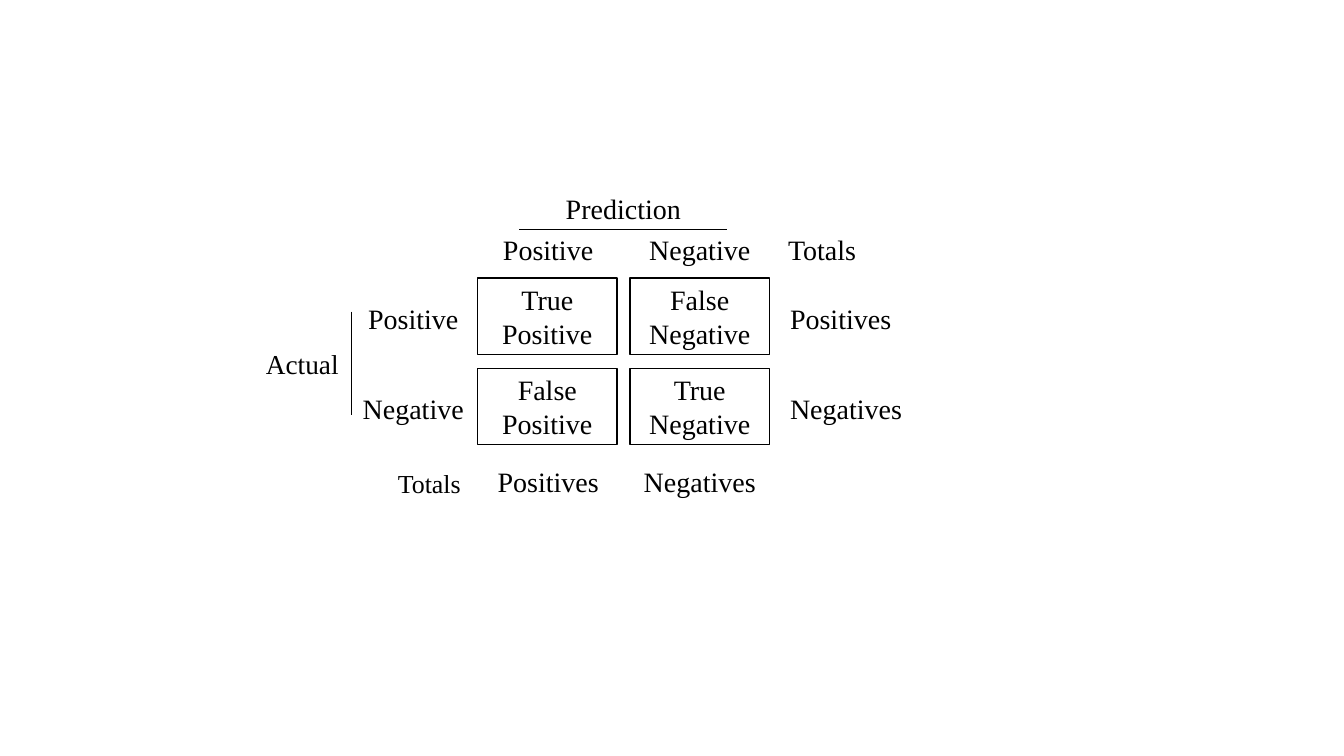
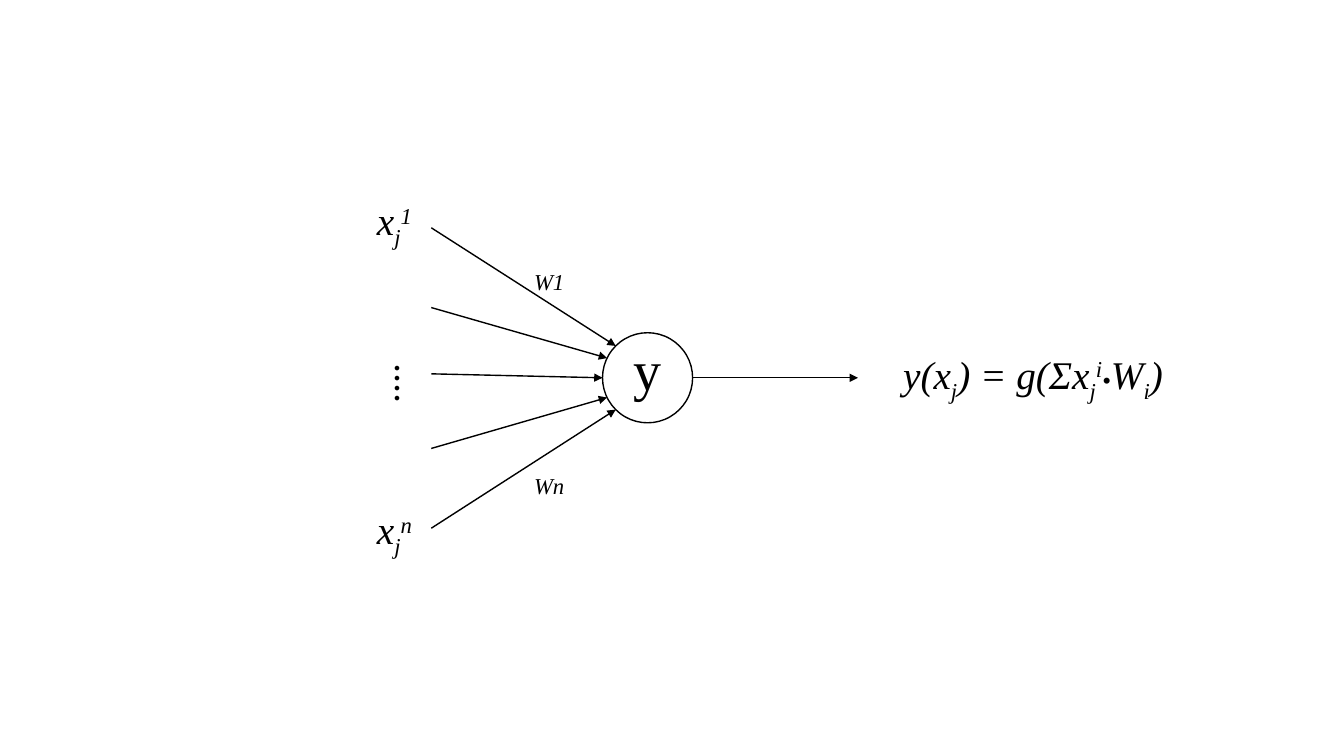
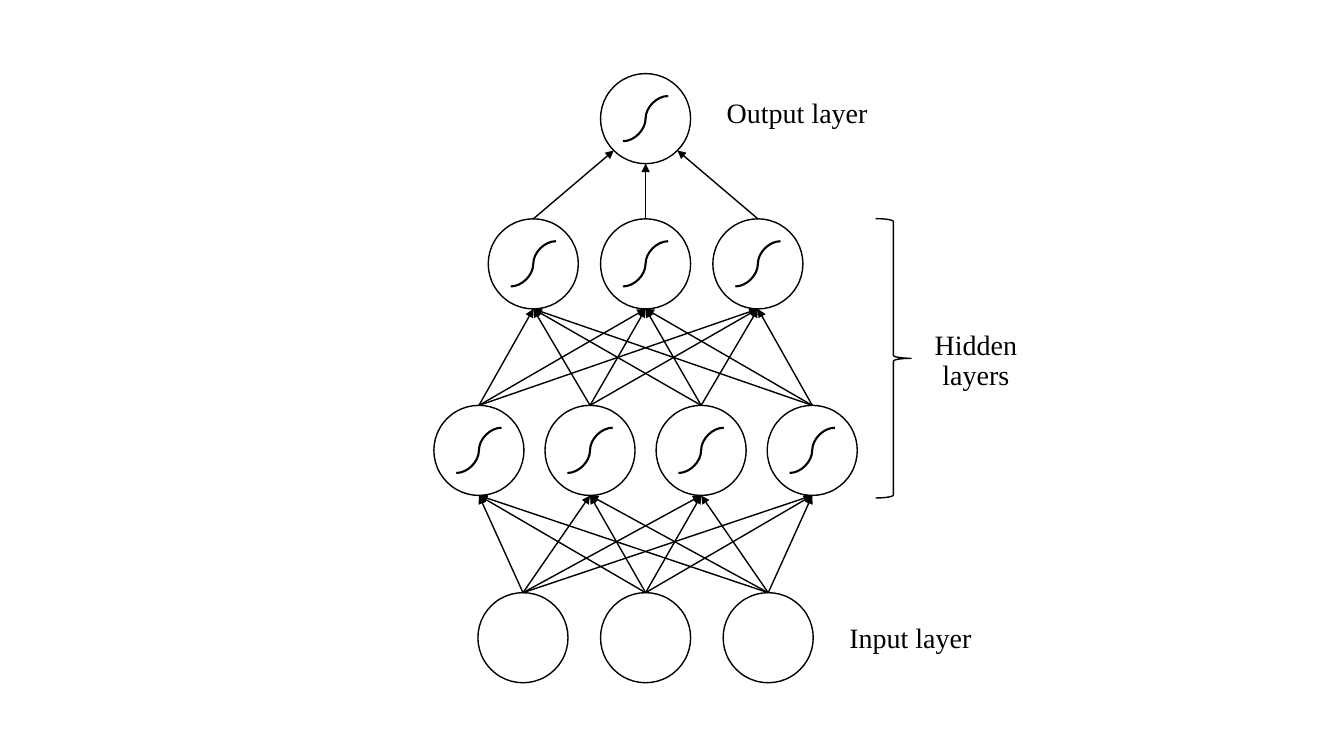
"""Build three machine-learning diagrams: confusion matrix, neuron and layered network."""
from dataclasses import dataclass
from itertools import product
from math import cos, radians, sin

from lxml import etree
from pptx import Presentation
from pptx.dml.color import RGBColor
from pptx.enum.shapes import MSO_CONNECTOR, MSO_SHAPE
from pptx.enum.text import MSO_ANCHOR, PP_ALIGN
from pptx.oxml.ns import qn
from pptx.shapes.autoshape import Shape
from pptx.shapes.connector import Connector
from pptx.slide import Slide
from pptx.text.text import TextFrame
from pptx.util import Cm, Pt

STRAIGHT, CURVE = MSO_CONNECTOR.STRAIGHT, MSO_CONNECTOR.CURVE
RECTANGLE, CIRCLE = MSO_SHAPE.RECTANGLE, MSO_SHAPE.FLOWCHART_CONNECTOR
BRACE = MSO_SHAPE.RIGHT_BRACE
LEFT, CENTER = PP_ALIGN.LEFT, PP_ALIGN.CENTER
TOP, MIDDLE, BOTTOM = MSO_ANCHOR.TOP, MSO_ANCHOR.MIDDLE, MSO_ANCHOR.BOTTOM

COLORS = {"ink": "000000", "paper": "FFFFFF"}
FONT = "Times New Roman"
SUBSCRIPT, SUPERSCRIPT = -25000, 30000
DIAMETER = 2.27
RADIUS = DIAMETER / 2
SIGMOID = 1.14


@dataclass(frozen=True)
class Label:
    text: str
    left: float
    top: float
    width: float
    height: float = 1.19
    size: float = 20
    align: PP_ALIGN = CENTER


@dataclass(frozen=True)
class Piece:
    text: str
    baseline: int = 0
    size: float = 28


@dataclass(frozen=True)
class Formula:
    pieces: tuple[Piece, ...]
    left: float
    top: float
    width: float = 1.85
    height: float = 1.8
    rotation: float = 0


@dataclass(frozen=True)
class Node:
    x: float
    y: float

    def rim(self, degrees: float) -> tuple[float, float]:
        angle = radians(degrees)
        return self.x + RADIUS * cos(angle), self.y + RADIUS * sin(angle)


@dataclass(frozen=True)
class Layer:
    count: int
    pitch: float
    y: float
    active: bool = True

    def nodes(self, center: float) -> list[Node]:
        first = center - self.pitch * (self.count - 1) / 2
        return [Node(first + self.pitch * index, self.y) for index in range(self.count)]


def ink() -> RGBColor:
    return RGBColor.from_string(COLORS["ink"])


def add_slide(presentation: Presentation) -> Slide:
    slide = presentation.slides.add_slide(presentation.slide_layouts[6])
    slide.background.fill.solid()
    slide.background.fill.fore_color.rgb = RGBColor.from_string(COLORS["paper"])
    return slide


def style_text(frame: TextFrame, size: float, align: PP_ALIGN, spacing: float) -> None:
    frame.word_wrap = True
    for paragraph in frame.paragraphs:
        paragraph.alignment = align
        paragraph.line_spacing = spacing
        for run in paragraph.runs:
            run.font.name = FONT
            run.font.size = Pt(size)
            run.font.color.rgb = ink()


def add_label(slide: Slide, label: Label) -> None:
    box = slide.shapes.add_textbox(
        Cm(label.left), Cm(label.top), Cm(label.width), Cm(label.height))
    box.text_frame.text = label.text
    box.text_frame.vertical_anchor = BOTTOM
    style_text(box.text_frame, label.size, label.align, 0.9)


def add_formula(slide: Slide, formula: Formula, align: PP_ALIGN = LEFT,
                anchor: MSO_ANCHOR = TOP, spacing: float = 1.0) -> None:
    box = slide.shapes.add_textbox(
        Cm(formula.left), Cm(formula.top), Cm(formula.width), Cm(formula.height))
    box.rotation = formula.rotation
    frame = box.text_frame
    frame.vertical_anchor = anchor
    paragraph = frame.paragraphs[0]
    for piece in formula.pieces:
        paragraph.add_run().text = piece.text
    style_text(frame, 28, align, spacing)
    for run, piece in zip(paragraph.runs, formula.pieces):
        run.font.size = Pt(piece.size)
        run.font.italic = True
        if piece.baseline:
            run._r.get_or_add_rPr().set("baseline", str(piece.baseline))


def add_outline(slide: Slide, kind: MSO_SHAPE, left: float, top: float,
                width: float, height: float) -> Shape:
    shape = slide.shapes.add_shape(kind, Cm(left), Cm(top), Cm(width), Cm(height))
    shape.shadow.inherit = False
    shape.fill.background()
    shape.line.color.rgb = ink()
    shape.line.width = Pt(1)
    return shape


def add_node(slide: Slide, node: Node) -> None:
    add_outline(slide, CIRCLE, node.x - RADIUS, node.y - RADIUS, DIAMETER, DIAMETER)


def add_line(slide: Slide, start: tuple[float, float], end: tuple[float, float],
             width: float = 1, kind: MSO_CONNECTOR = STRAIGHT) -> Connector:
    connector = slide.shapes.add_connector(
        kind, Cm(start[0]), Cm(start[1]), Cm(end[0]), Cm(end[1]))
    connector.line.color.rgb = ink()
    connector.line.width = Pt(width)
    etree.SubElement(connector._element.spPr, qn("a:effectLst"))
    return connector


def add_arrow(slide: Slide, start: tuple[float, float], end: tuple[float, float]) -> None:
    connector = add_line(slide, start, end)
    outline = connector._element.spPr.find(qn("a:ln"))
    etree.SubElement(outline, qn("a:tailEnd"), type="triangle")


def add_sigmoid(slide: Slide, node: Node) -> None:
    half = SIGMOID / 2
    add_line(slide, (node.x - half, node.y + half), (node.x + half, node.y - half), 1.5, CURVE)


def build_confusion_matrix(slide: Slide) -> None:
    classes = ("Positive", "Negative")
    column_pitch, row_pitch = 3.82, 2.27
    add_label(slide, Label("Prediction", 13.82, 4.62, 3.78))
    add_label(slide, Label("Actual", 5.69, 8.51, 3.86, size=19.5))
    add_label(slide, Label("Totals", 19.61, 5.66, 4.17, align=LEFT))
    add_label(slide, Label("Totals", 9.65, 11.51, 2.34, size=18.5))
    for index, name in enumerate(classes):
        column_left = 11.73 + column_pitch * index
        row_top = 7.38 + row_pitch * index
        add_label(slide, Label(name, column_left, 5.66, 4.17))
        add_label(slide, Label(f"{name}s", column_left, 11.51, 4.17))
        add_label(slide, Label(name, 8.13, row_top, 4.57))
        add_label(slide, Label(f"{name}s", 19.66, row_top, 4.17, align=LEFT))
    for row, column in product(range(2), repeat=2):
        cell = add_outline(slide, RECTANGLE, 12.04 + 3.84 * column,
                           7.01 + row_pitch * row, 3.51, 1.93)
        cell.text_frame.text = f"{row == column} {classes[column]}"
        cell.text_frame.vertical_anchor = MIDDLE
        style_text(cell.text_frame, 20, CENTER, 1.0)
    add_line(slide, (13.08, 5.77), (18.31, 5.77), 0.5)
    add_line(slide, (8.86, 7.85), (8.86, 10.46), 0.5)


def build_neuron(slide: Slide) -> None:
    neuron = Node(16.32, 9.52)
    add_node(slide, neuron)
    add_label(slide, Label("y", 15.72, 8.81, 1.19, 1.45, size=40, align=LEFT))
    inputs = ((5.74, 225), (7.75, 206), (9.42, 180), (11.3, 154), (13.31, 135))
    for y, degrees in inputs:
        add_arrow(slide, (10.87, y), neuron.rim(degrees))
    add_arrow(slide, neuron.rim(0), (21.62, neuron.y))
    for index, input_top, weight_top in (("1", 4.83, 5.97), ("n", 12.62, 11.1)):
        add_formula(slide, Formula(
            (Piece("x"), Piece("j", SUBSCRIPT), Piece(index, SUPERSCRIPT)), 9.25, input_top))
        add_formula(slide, Formula((Piece(f"W{index}", SUBSCRIPT),), 13.21, weight_top))
    add_formula(slide, Formula((Piece("...."),), 8.89, 8.53, 1.9, rotation=270))
    output = (Piece("y(x"), Piece("j", SUBSCRIPT), Piece(") = g(Σx"), Piece("j", SUBSCRIPT),
              Piece("i", SUPERSCRIPT), Piece("•", size=18), Piece("W"),
              Piece("i", SUBSCRIPT), Piece(")"))
    add_formula(slide, Formula(output, 21.41, 8.66, 9.25, 1.52), CENTER, BOTTOM, 0.9)


def build_network(slide: Slide) -> None:
    center = 16.27
    layers = (Layer(3, 3.09, 16.07, active=False), Layer(4, 2.8, 11.35),
              Layer(3, 2.83, 6.65), Layer(1, 0, 2.99))
    rows = [layer.nodes(center) for layer in layers]
    for lower, upper in zip(rows[:-2], rows[1:]):
        for source, target in product(lower, upper):
            add_arrow(slide, source.rim(270), target.rim(90))
    for source, degrees in zip(rows[-2], (135, 90, 45)):
        add_arrow(slide, source.rim(270), rows[-1][0].rim(degrees))
    for layer, row in zip(layers, rows):
        for node in row:
            add_node(slide, node)
            if layer.active:
                add_sigmoid(slide, node)
    add_outline(slide, BRACE, 22.07, 5.51, 0.89, 7.04)
    for label in (Label("Output layer", 17.32, 2.21, 5.54),
                  Label("Hidden\nlayers", 22.5, 7.98, 4.19, 2.01),
                  Label("Input layer", 20.42, 15.44, 5.05)):
        add_label(slide, label)


def main() -> None:
    presentation = Presentation()
    presentation.slide_width, presentation.slide_height = Cm(33.87), Cm(19.05)
    for build in (build_confusion_matrix, build_neuron, build_network):
        build(add_slide(presentation))
    presentation.save("out.pptx")


if __name__ == "__main__":
    main()
